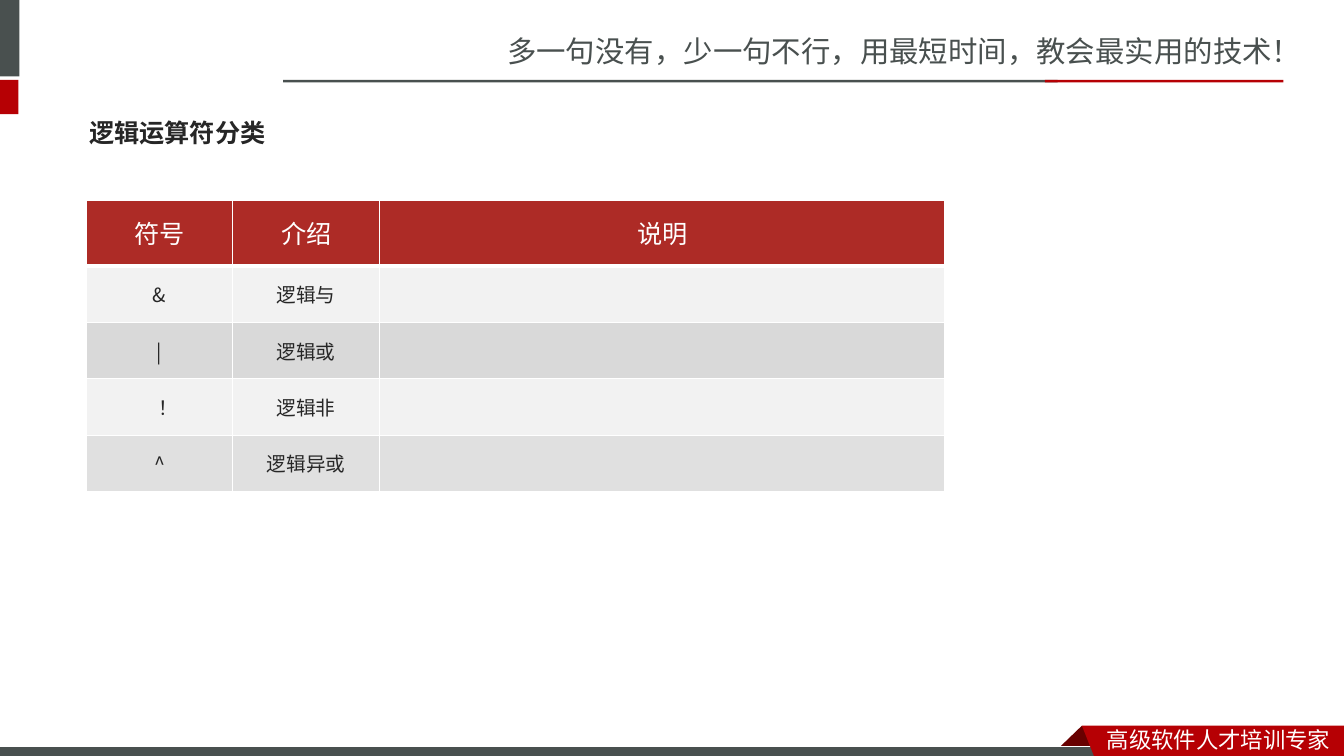
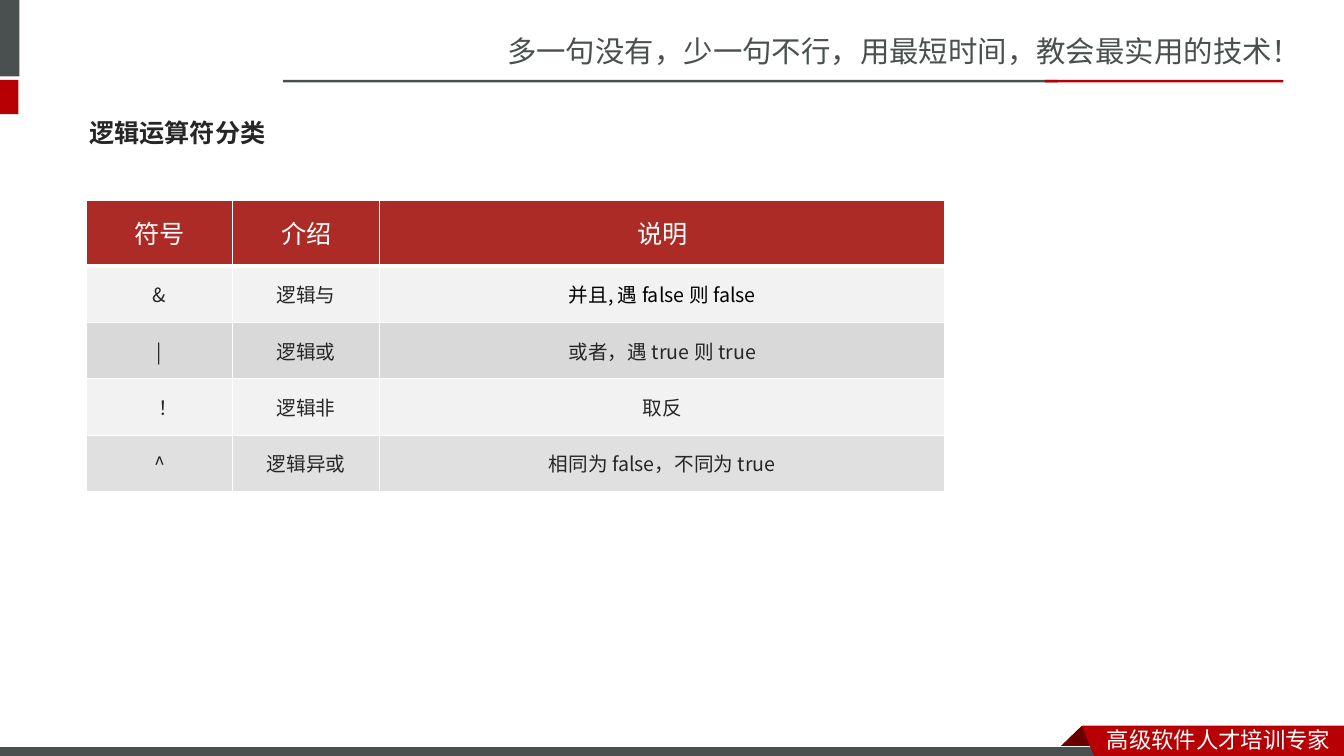
from dataclasses import dataclass

from lxml.etree import SubElement
from pptx import Presentation
from pptx.dml.color import RGBColor
from pptx.enum.shapes import MSO_SHAPE
from pptx.enum.text import MSO_ANCHOR, MSO_AUTO_SIZE, PP_ALIGN
from pptx.oxml.ns import qn
from pptx.util import Inches, Pt

SLIDE_WIDTH, SLIDE_HEIGHT = Inches(13.33), Inches(7.5)
COLUMNS, ROWS = 16, 9

GRAY = RGBColor(0x49, 0x50, 0x4F)
RED = RGBColor(0xB6, 0x00, 0x04)
DARK_RED = RGBColor(0x68, 0x00, 0x00)
HEADER_RED = RGBColor(0xAD, 0x2B, 0x26)
WHITE = RGBColor(0xFF, 0xFF, 0xFF)
BLACK = RGBColor(0x00, 0x00, 0x00)
TEXT_COLOR = RGBColor(0x26, 0x26, 0x26)
LIGHT_ROW = RGBColor(0xF2, 0xF2, 0xF2)
DARK_ROW = RGBColor(0xD9, 0xD9, 0xD9)

CHROME_FONT = "Noto Sans CJK SC"
BODY_FONT = "Noto Sans CJK JP"
HEADER_FONT = "Arial"

TITLE = "逻辑运算符分类"
SLOGAN = "多一句没有，少一句不行，用最短时间，教会最实用的技术！"
FOOTER = "高级软件人才培训专家"
HEADERS = ("符号", "介绍", "说明")
OPERATORS = (("&", "逻辑与"), ("|", "逻辑或"), ("！", "逻辑非"), ("^", "逻辑异或"))
EXPLANATIONS = (
    "并且, 遇 false 则 false",
    "或者，遇 true 则 true",
    "取反",
    "相同为 false，不同为 true",
)
NO_EXPLANATIONS = ("",) * len(OPERATORS)
COLUMN_WIDTHS = (1.74, 1.75, 6.73)
HEADER_HEIGHT, ROW_HEIGHT = 0.78, 0.67


def across(columns):
    """Return the length of a number of grid columns."""
    return round(columns * SLIDE_WIDTH / COLUMNS)


def down(rows):
    """Return the length of a number of grid rows."""
    return round(rows * SLIDE_HEIGHT / ROWS)


@dataclass
class Box:
    """A region measured in grid columns and rows."""

    left: float
    top: float
    width: float
    height: float

    def inside(self, left, top, width, height):
        """Return a box offset from this one's top left corner."""
        return Box(self.left + left, self.top + top, width, height)

    def frame(self):
        """Return left, top, width and height as lengths."""
        return across(self.left), down(self.top), across(self.width), down(self.height)


SLOGAN_BOX = Box(5.92, 0.34, 10.09, 0.56)
MARKER_BOX = Box(-0.07, 0, 0.3, 1.36)
RULE_BOX = Box(3.37, 0.95, 11.91, 0.03)
FOOTER_BOX = Box(0, 8.58, 16, 0.47)
TITLE_BOX = Box(0.94, 1.24, 14.11, 0.68)
TABLE_BOX = Box(1.03, 2.39, 10.22, 3.46)


def style_paragraph(paragraph, size, name, color, bold=False):
    """Set one font for Latin and East Asian text."""
    font = paragraph.font
    font.size, font.name, font.bold = Pt(size), name, bold
    font.color.rgb = color
    properties = paragraph._p.get_or_add_pPr().find(qn("a:defRPr"))
    east_asian = CHROME_FONT if name == HEADER_FONT else name
    SubElement(properties, qn("a:ea"), typeface=east_asian)


def paint(shape, color):
    """Give a shape a flat fill without line or shadow."""
    shape.shadow.inherit = False
    shape.fill.solid()
    shape.fill.fore_color.rgb = color
    shape.line.fill.background()
    return shape


def add_bar(slide, box, color):
    """Add a flat rectangle."""
    return paint(slide.shapes.add_shape(MSO_SHAPE.RECTANGLE, *box.frame()), color)


def add_outline(slide, box, points, color):
    """Add a flat polygon whose points are offsets from the box."""
    corners = [(across(box.left + x), down(box.top + y)) for x, y in points]
    builder = slide.shapes.build_freeform(*corners[0])
    builder.add_line_segments(corners[1:], close=True)
    paint(builder.convert_to_shape(), color)


def add_label(slide, box, text, size, color):
    """Add a single line of text."""
    text_frame = slide.shapes.add_textbox(*box.frame()).text_frame
    text_frame.word_wrap = True
    text_frame.text = text
    style_paragraph(text_frame.paragraphs[0], size, CHROME_FONT, color)


def add_marker(slide, box):
    """Add the two blocks on the left edge."""
    add_bar(slide, box.inside(0, 0, box.width, 0.91), GRAY)
    add_bar(slide, box.inside(0, 0.95, box.width - 0.01, 0.41), RED)


def add_rule(slide, box):
    """Add the two-coloured rule under the slogan."""
    add_bar(slide, box.inside(0, 0, 9.22, box.height), GRAY)
    add_bar(slide, box.inside(9.07, 0, 2.84, box.height), RED)


def add_footer(slide, box):
    """Add the bottom bar with its folded ribbon."""
    ribbon = box.inside(12.88, 0.06, 3.12, 0.41)
    fold = ((0, 0), (0.26, 0.26), (0.25, 0.28), (-0.26, 0.28), (-0.27, 0.26))
    banner = ((0, 0), (3.12, 0), (3.12, 0.41), (0.16, 0.4))
    add_outline(slide, ribbon, fold, DARK_RED)
    bar = add_bar(slide, box.inside(-0.01, 0.31, 13.2, 0.14), GRAY)
    bar.line.color.rgb = WHITE
    bar.line.width = Pt(0.75)
    add_outline(slide, ribbon, banner, RED)
    add_label(slide, box.inside(13.06, 0, 2.96, 0.44), FOOTER, 16, WHITE)


def set_title(slide, box):
    """Place and format the title placeholder."""
    title = slide.shapes.title
    title.left, title.top, title.width, title.height = box.frame()
    text_frame = title.text_frame
    text_frame.text = TITLE
    text_frame.auto_size = MSO_AUTO_SIZE.NONE
    text_frame.vertical_anchor = MSO_ANCHOR.MIDDLE
    paragraph = text_frame.paragraphs[0]
    paragraph.alignment = PP_ALIGN.LEFT
    style_paragraph(paragraph, 18, BODY_FONT, TEXT_COLOR, bold=True)


def set_borders(cell, top, bottom):
    """Draw white cell borders with the given top and bottom widths."""
    properties = cell._tc.get_or_add_tcPr()
    for side, width in (("L", 1), ("R", 1), ("T", top), ("B", bottom)):
        line = SubElement(properties, qn(f"a:ln{side}"), w=str(Pt(width)))
        fill = SubElement(line, qn("a:solidFill"))
        SubElement(fill, qn("a:srgbClr"), val=str(WHITE))


def fill_cell(cell, text, row):
    """Write and format one table cell by its row."""
    is_header = row == 0
    set_borders(cell, 3 if row == 1 else 1, 3 if is_header else 1)
    cell.fill.solid()
    row_color = LIGHT_ROW if row % 2 else DARK_ROW
    cell.fill.fore_color.rgb = HEADER_RED if is_header else row_color
    if row == len(OPERATORS):
        color = cell._tc.tcPr.find(qn("a:solidFill")).find(qn("a:srgbClr"))
        SubElement(color, qn("a:alpha"), val="80000")
    cell.vertical_anchor = MSO_ANCHOR.MIDDLE
    cell.text = text
    paragraph = cell.text_frame.paragraphs[0]
    paragraph.alignment = PP_ALIGN.CENTER
    if is_header:
        paragraph.line_spacing = Pt(24)
        style_paragraph(paragraph, 18, HEADER_FONT, WHITE)
    else:
        color = BLACK if text == EXPLANATIONS[0] else TEXT_COLOR
        style_paragraph(paragraph, 14, BODY_FONT, color)
    if text == "！":
        cell.margin_left = Inches(0.18)


def add_operator_table(slide, box, explanations):
    """Add the table of logical operators."""
    rows = [HEADERS]
    rows += [(*operator, note) for operator, note in zip(OPERATORS, explanations)]
    table = slide.shapes.add_table(len(rows), len(HEADERS), *box.frame()).table
    table.first_row = table.horz_banding = False
    for column, width in zip(table.columns, COLUMN_WIDTHS):
        column.width = across(width)
    for index, texts in enumerate(rows):
        table.rows[index].height = down(ROW_HEIGHT if index else HEADER_HEIGHT)
        for column, text in enumerate(texts):
            fill_cell(table.cell(index, column), text, index)


def add_operator_slide(presentation, explanations):
    """Add a slide with the shared frame and the operator table."""
    slide = presentation.slides.add_slide(presentation.slide_layouts[5])
    add_label(slide, SLOGAN_BOX, SLOGAN, 21, GRAY)
    add_marker(slide, MARKER_BOX)
    add_rule(slide, RULE_BOX)
    add_footer(slide, FOOTER_BOX)
    set_title(slide, TITLE_BOX)
    add_operator_table(slide, TABLE_BOX, explanations)


def main():
    """Build and save the presentation."""
    presentation = Presentation()
    presentation.slide_width, presentation.slide_height = SLIDE_WIDTH, SLIDE_HEIGHT
    for explanations in (NO_EXPLANATIONS, EXPLANATIONS):
        add_operator_slide(presentation, explanations)
    presentation.save("out.pptx")


if __name__ == "__main__":
    main()
